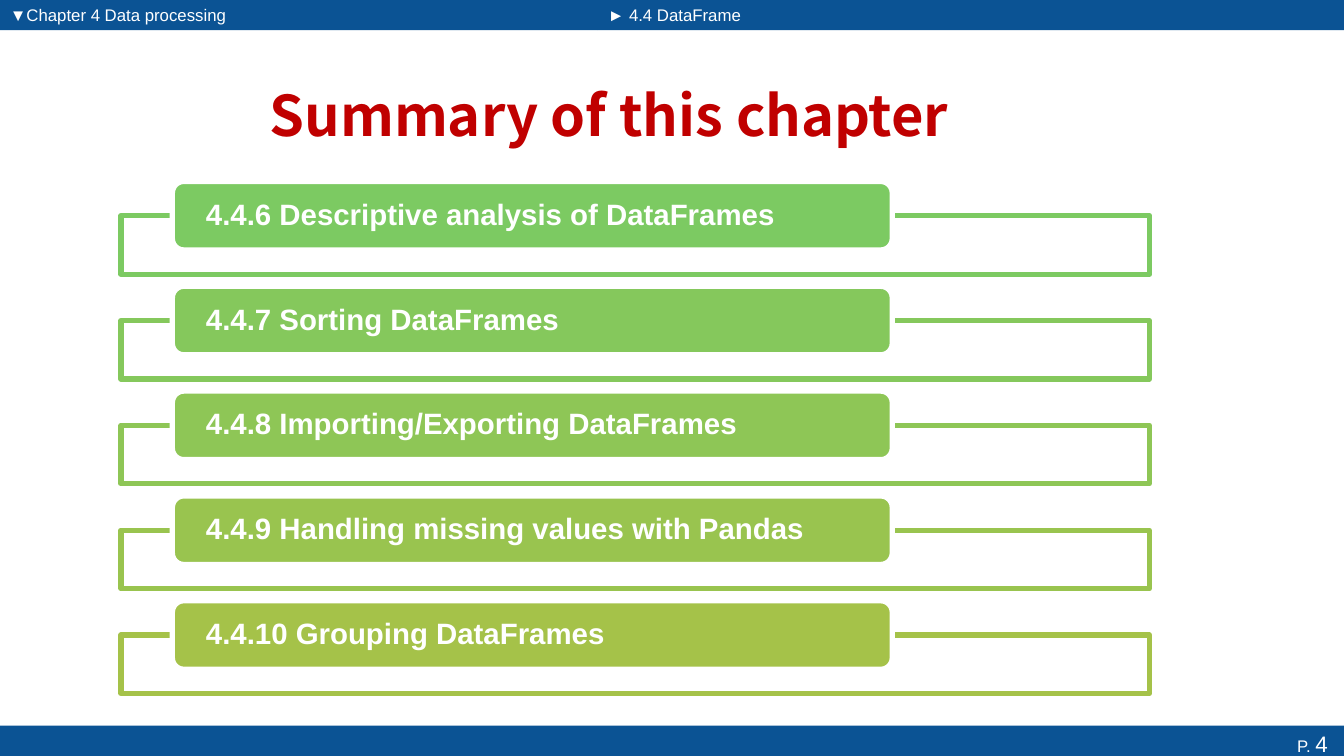
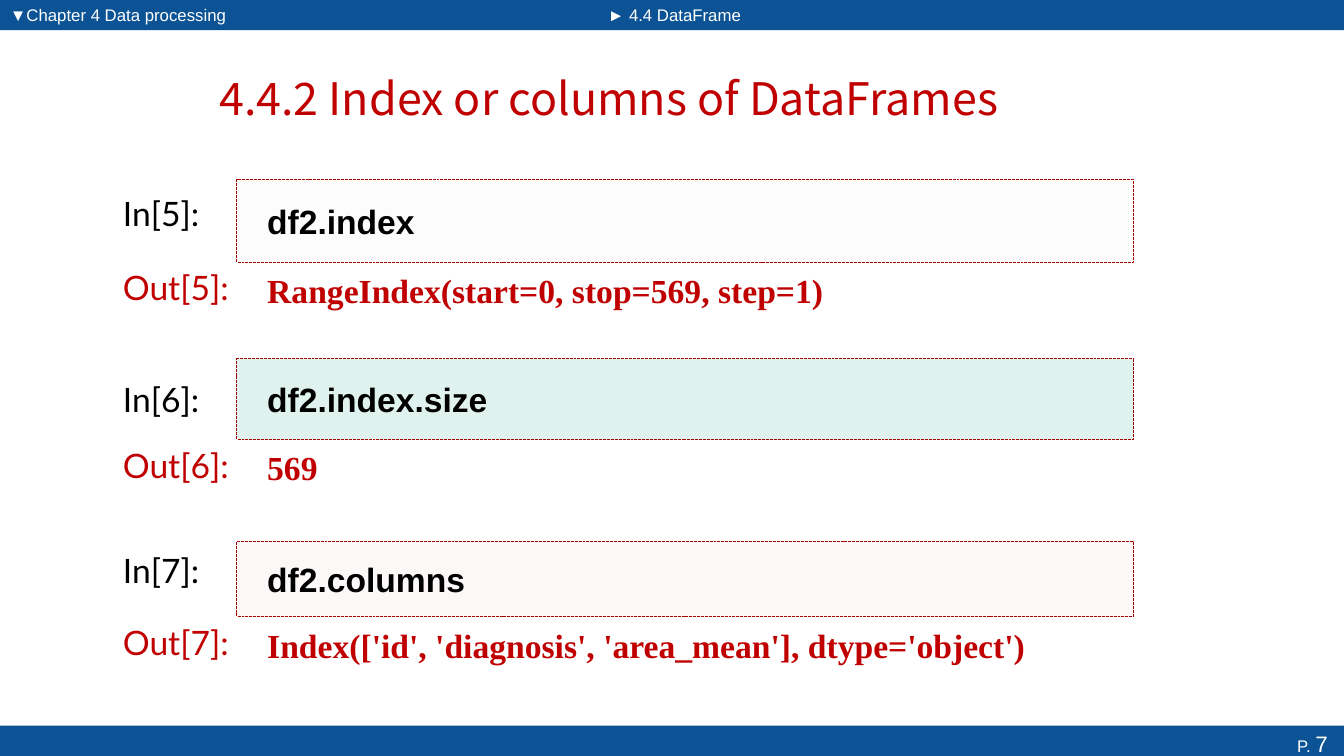
from dataclasses import dataclass

from lxml import etree
from pptx import Presentation
from pptx.dml.color import RGBColor
from pptx.enum import dml, shapes, text
from pptx.oxml.ns import qn
from pptx.util import Inches, Pt

COLORS = {
    "band": "0B5394",
    "white": "FFFFFF",
    "black": "000000",
    "accent": "C00000",
    "cell_line": "AB0000",
    "cell_grey": "F1EEF4",
    "cell_green": "0C9B74",
    "cell_pink": "EDCDCB",
    "topic_1": "7CCA62",
    "topic_2": "85C85C",
    "topic_3": "8EC656",
    "topic_4": "99C44F",
    "topic_5": "A5C249",
}
BODY_FONT = "Arial"
LABEL_FONT = "Lato"
TITLE_FONT = "Noto Sans CJK SC"
OUTPUT_FONT = "Times New Roman"

SLIDE_WIDTH, SLIDE_HEIGHT = 13.33, 7.5
BAND_HEIGHT = 0.3
HEADER_SPLIT = 5.93
CHAPTER = "▼Chapter 4 Data processing"
SECTION = "► 4.4 DataFrame"

TOPICS = [
    "4.4.6 Descriptive analysis of DataFrames",
    "4.4.7 Sorting DataFrames",
    "4.4.8 Importing/Exporting DataFrames",
    "4.4.9 Handling missing values with Pandas",
    "4.4.10 Grouping DataFrames",
]


@dataclass
class Cell:
    number: int
    code: str
    output: str
    fill: str
    top: float
    height: float
    label_offset: float


CELLS = [
    Cell(5, "df2.index", "RangeIndex(start=0, stop=569, step=1)",
         "cell_grey", 1.78, 0.82, 0.08),
    Cell(6, "df2.index.size", "569", "cell_green", 3.56, 0.8, 0.15),
    Cell(7, "df2.columns", "Index(['id', 'diagnosis', 'area_mean'], dtype='object')",
         "cell_pink", 5.37, 0.75, 0.04),
]


def color(name):
    return RGBColor.from_string(COLORS[name])


def write(shape, *runs, font=BODY_FONT, ink="white", bold=False, align="LEFT",
          anchor="MIDDLE", insets=(0.1, 0.05, 0.1, 0.05), line_spacing=None):
    frame = shape.text_frame
    frame.word_wrap = True
    frame.vertical_anchor = getattr(text.MSO_ANCHOR, anchor)
    (frame.margin_left, frame.margin_top,
     frame.margin_right, frame.margin_bottom) = map(Inches, insets)
    paragraph = frame.paragraphs[0]
    paragraph.alignment = getattr(text.PP_ALIGN, align)
    paragraph.line_spacing = line_spacing
    for content, size in runs:
        run = paragraph.add_run()
        run.text = content
        run.font.name = font
        run.font.size = Pt(size)
        run.font.bold = bold
        run.font.color.rgb = color(ink)


def add_box(slide, left, top, width, height, fill, line=None, line_width=0.7,
            kind=shapes.MSO_SHAPE.RECTANGLE):
    box = slide.shapes.add_shape(kind, *map(Inches, (left, top, width, height)))
    box.shadow.inherit = False
    box.fill.solid()
    box.fill.fore_color.rgb = color(fill)
    if line:
        box.line.color.rgb = color(line)
        box.line.width = Pt(line_width)
    else:
        box.line.fill.background()
    return box


def set_opacity(box, percent):
    fill_color = box.element.spPr.find(qn("a:solidFill"))[0]
    etree.SubElement(fill_color, qn("a:alpha")).set("val", str(percent * 1000))


def add_text(slide, left, top, width, height, *runs, **style):
    box = slide.shapes.add_textbox(*map(Inches, (left, top, width, height)))
    write(box, *runs, **style)


def add_bands(slide, page):
    header_parts = [
        (0, HEADER_SPLIT, CHAPTER),
        (HEADER_SPLIT, SLIDE_WIDTH - HEADER_SPLIT, SECTION),
    ]
    for left, width, label in header_parts:
        band = add_box(slide, left, 0, width, BAND_HEIGHT, "band")
        write(band, (label, 12), anchor="TOP", insets=(0.1, 0.05, 0.1, 0))
    footer = add_box(slide, 0, SLIDE_HEIGHT - BAND_HEIGHT, SLIDE_WIDTH, BAND_HEIGHT, "band")
    write(footer, ("P. ", 12), (str(page), 16), align="RIGHT", anchor="TOP",
          insets=(0.1, 0.04, 0.16, 0))


def add_page(presentation, page, title, title_top, title_size, bold=False):
    slide = presentation.slides.add_slide(presentation.slide_layouts[5])
    add_bands(slide, page)
    heading = slide.shapes.title
    heading.left, heading.top = Inches(0.68), Inches(title_top)
    heading.width, heading.height = Inches(10.72), Inches(0.9)
    write(heading, (title, title_size), font=TITLE_FONT, ink="accent", bold=bold,
          align="CENTER")
    return slide


def add_topic(slide, left, top, width, label, shade):
    add_box(slide, left, top + 0.34, width, 0.58, "white", shade, 3.78)
    pill = add_box(slide, left + 0.51, top, 0.7 * width, 0.68, shade, "white", 3.78,
                   shapes.MSO_SHAPE.ROUNDED_RECTANGLE)
    write(pill, (label, 21), bold=True, insets=(0.3, 0, 0.3, 0), line_spacing=0.9)


def add_cell(slide, left, width, cell):
    code_left = left + 1.23
    code_width = width - 1.23
    insets = (0.3, 0.05, 0.1, 0.05)
    bottom = cell.top + cell.height

    code_box = add_box(slide, code_left, cell.top, code_width, cell.height,
                       cell.fill, "cell_line")
    code_box.line.dash_style = dml.MSO_LINE.SQUARE_DOT
    set_opacity(code_box, 13)
    write(code_box, (cell.code, 24), ink="black", bold=True, insets=insets)
    add_text(slide, code_left, bottom - 0.05, code_width, 0.65, (cell.output, 24),
             font=OUTPUT_FONT, ink="accent", bold=True, insets=insets)

    labels = [("In", "black", cell.top + cell.label_offset), ("Out", "accent", bottom)]
    for name, ink, top in labels:
        add_text(slide, left, top, 1.35, 0.5, (f"{name}[{cell.number}]:", 24),
                 font=LABEL_FONT, ink=ink, anchor="TOP")


def build_summary(presentation):
    slide = add_page(presentation, 4, "Summary of this chapter", 0.68, 40, bold=True)
    for index, label in enumerate(TOPICS):
        add_topic(slide, 1.2, 1.8 + 1.04 * index, 10.2, label, f"topic_{index + 1}")


def build_index_example(presentation):
    slide = add_page(presentation, 7, "4.4.2 Index or columns of DataFrames", 0.52, 32)
    for cell in CELLS:
        add_cell(slide, 1.12, 10.12, cell)


def main():
    presentation = Presentation()
    presentation.slide_width = Inches(SLIDE_WIDTH)
    presentation.slide_height = Inches(SLIDE_HEIGHT)
    build_summary(presentation)
    build_index_example(presentation)
    presentation.save("out.pptx")


if __name__ == "__main__":
    main()
